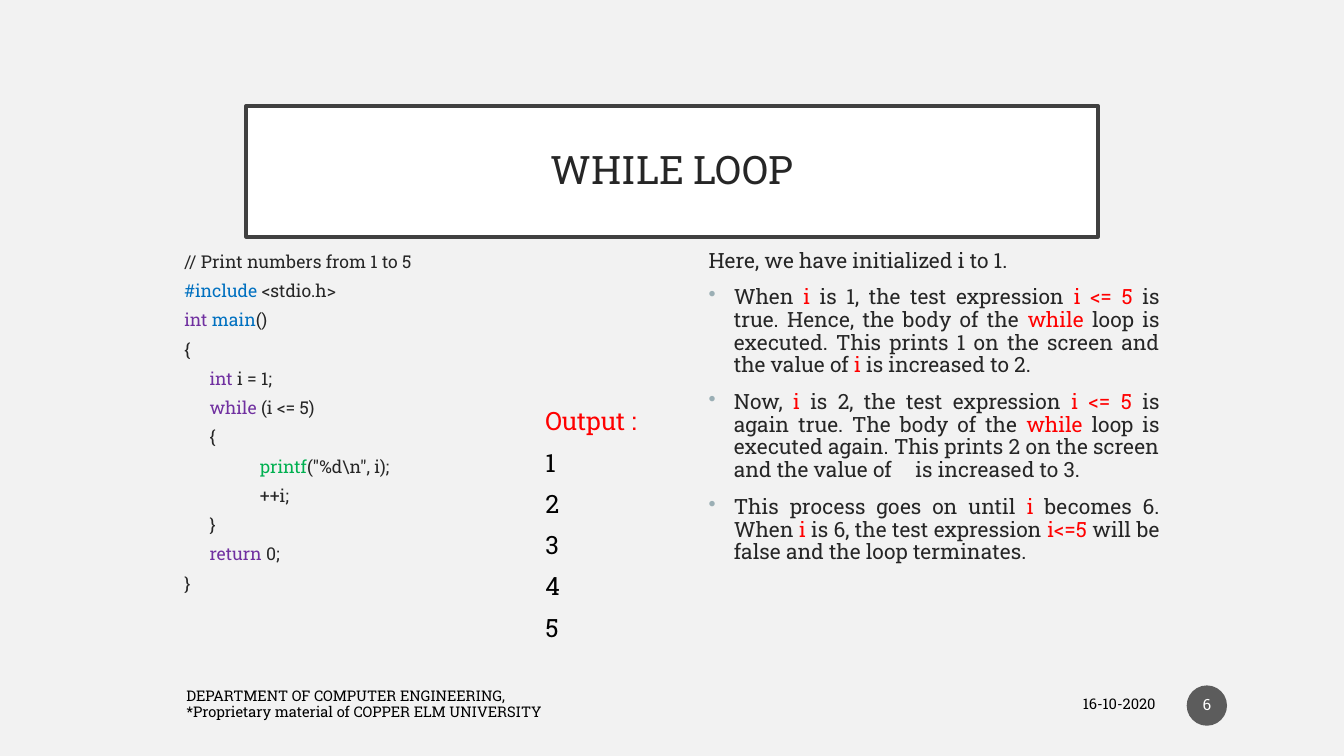
"""Build a slide on the while loop in C."""
from lxml import etree
from pptx import Presentation
from pptx import util as u
from pptx.dml.color import RGBColor
from pptx.enum import shapes, text
from pptx.oxml.ns import qn

FONT = "Roboto Slab"
PAPER = RGBColor(0xF2, 0xF2, 0xF2)
WHITE = RGBColor(0xFF, 0xFF, 0xFF)
BLACK = RGBColor(0, 0, 0)
INK = RGBColor(0x26, 0x26, 0x26)
EDGE = RGBColor(0x40, 0x40, 0x40)
DISC = RGBColor(0x1D, 0x1D, 0x1D)
RED = RGBColor(0xFF, 0, 0)
BLUE = RGBColor(0, 0x70, 0xC0)
PLUM = RGBColor(0x70, 0x30, 0xA0)
GREEN = RGBColor(0, 0xB0, 0x50)
DOT = RGBColor(0x9B, 0xAF, 0xB5)

LEFT, MID, RIGHT, JUST = (text.PP_ALIGN.LEFT, text.PP_ALIGN.CENTER,
                          text.PP_ALIGN.RIGHT, text.PP_ALIGN.JUSTIFY)

CODE = [
    ["// Print numbers from 1 to 5"],
    [("#include", BLUE), " <stdio.h>"],
    [("int ", PLUM), ("main", BLUE), "()"],
    ["{"],
    ["\t", ("int", PLUM), " i = 1;"],
    ["\t", ("while", PLUM), " (i <= 5)"],
    ["\t{"],
    ["\t\t", ("printf", GREEN), "(\"%d\\n\", i);"],
    ["\t\t++i;"],
    ["\t}"],
    ["\t", ("return", PLUM), " 0;"],
    ["}"],
]
NOTES = [
    ["Here, we have initialized i to 1."],
    ["When ", ("i", RED), " is 1, the test expression ", ("i <= 5", RED),
     " is true. Hence, the body of the ", ("while", RED),
     " loop is executed. This prints 1 on the screen and the value of",
     (" i", RED), " is increased to 2."],
    ["Now, ", ("i", RED), " is 2, the test expression ", ("i <= 5", RED),
     " is again true. The body of the ", ("while", RED),
     " loop is executed again. This prints 2 on the screen and the value of"
     " \t is increased to 3."],
    ["This process goes on until ", ("i ", RED), "becomes 6. When ", ("i", RED),
     " is 6, the test expression ", ("i<=5", RED),
     " will be false and the loop terminates."],
]
PRINT = [[("Output :", RED)]] + [[str(n)] for n in range(1, 6)]
FOOT = [["DEPARTMENT OF COMPUTER ENGINEERING,"],
        ["*Proprietary material of COPPER ELM UNIVERSITY"]]


def assign(item, vals):
    """Set each named value on the item."""
    for name, val in vals.items():
        setattr(item, name, val)


def hang(para, dot):
    """Give the paragraph a hanging indent and, if asked, a bullet."""
    props = para._p.get_or_add_pPr()
    props.set("marL", str(u.Inches(0.25)))
    props.set("indent", str(u.Inches(-0.25)))
    if dot:
        tint = etree.SubElement(props, qn("a:buClr"))
        etree.SubElement(tint, qn("a:srgbClr"), val=str(DOT))
        etree.SubElement(props, qn("a:buChar"), char="•")


def write(shape, paras, size, ink=INK, align=LEFT, lead=0.9, gap=0,
          inset=(0.1, 0.05), mid=False, deep=False, dots=False):
    """Fill the shape with paragraphs of coloured runs."""
    frame = shape.text_frame
    wide, high = (u.Inches(n) for n in inset)
    assign(frame, {
        "word_wrap": True, "margin_left": wide, "margin_right": wide,
        "margin_top": high, "margin_bottom": high,
        "vertical_anchor": text.MSO_ANCHOR.MIDDLE if mid else text.MSO_ANCHOR.TOP})
    for num, parts in enumerate(paras):
        para = frame.add_paragraph() if num else frame.paragraphs[0]
        assign(para, {"alignment": align, "line_spacing": lead,
                      "space_before": u.Pt(gap if num else 0)})
        if deep:
            hang(para, dots and num > 0)
        for part in parts:
            words, tint = (part, ink) if isinstance(part, str) else part
            run = para.add_run()
            run.text = words
            assign(run.font, {"name": FONT, "size": u.Pt(size)})
            run.font.color.rgb = tint


def note(slide, box, paras, size, **style):
    """Add a text box."""
    write(slide.shapes.add_textbox(*map(u.Inches, box)), paras, size, **style)


def form(slide, kind, box, fill):
    """Add a filled preset shape without line or shadow."""
    shape = slide.shapes.add_shape(kind, *map(u.Inches, box))
    shape.shadow.inherit = False
    shape.fill.solid()
    shape.fill.fore_color.rgb = fill
    shape.line.fill.background()
    return shape


def banner(slide):
    """Add the framed title."""
    shape = form(slide, shapes.MSO_SHAPE.RECTANGLE, (2.44, 1.05, 8.45, 1.3), WHITE)
    shape.line.color.rgb = EDGE
    shape.line.width = u.Pt(2.5)
    write(shape, [["WHILE LOOP"]], 28, align=MID, inset=(0.2, 0.2), mid=True)


def badge(slide):
    """Add the page number on its translucent disc."""
    shape = form(slide, shapes.MSO_SHAPE.OVAL, (11.77, 6.8, 0.4, 0.4), DISC)
    tint = shape._element.spPr.find(qn("a:solidFill"))[0]
    etree.SubElement(tint, qn("a:alpha"), val="70000")
    write(shape, [["6"]], 11, ink=WHITE, align=MID, inset=(0.02, 0.05), mid=True)


def main():
    """Build and save the slide."""
    deck = Presentation()
    assign(deck, {"slide_width": u.Inches(13.33), "slide_height": u.Inches(7.5)})
    slide = deck.slides.add_slide(deck.slide_layouts[6])
    slide.background.fill.solid()
    slide.background.fill.fore_color.rgb = PAPER
    banner(slide)
    note(slide, (1.73, 2.48, 4.67, 3.8), CODE, 12.6, lead=0.8, gap=8.8, deep=True)
    note(slide, (6.93, 2.43, 4.67, 3.85), NOTES, 15, align=JUST, gap=10,
         deep=True, dots=True)
    note(slide, (8.55, 6.82, 3.01, 0.35), [["16-10-2020"]], 10.5, ink=BLACK,
         align=RIGHT, mid=True)
    badge(slide)
    note(slide, (5.31, 4.01, 1.67, 2.8), PRINT, 18, ink=BLACK, gap=10, deep=True)
    note(slide, (1.75, 6.82, 6.45, 0.35), FOOT, 10.5, ink=BLACK, mid=True)
    deck.save("out.pptx")


if __name__ == "__main__":
    main()
